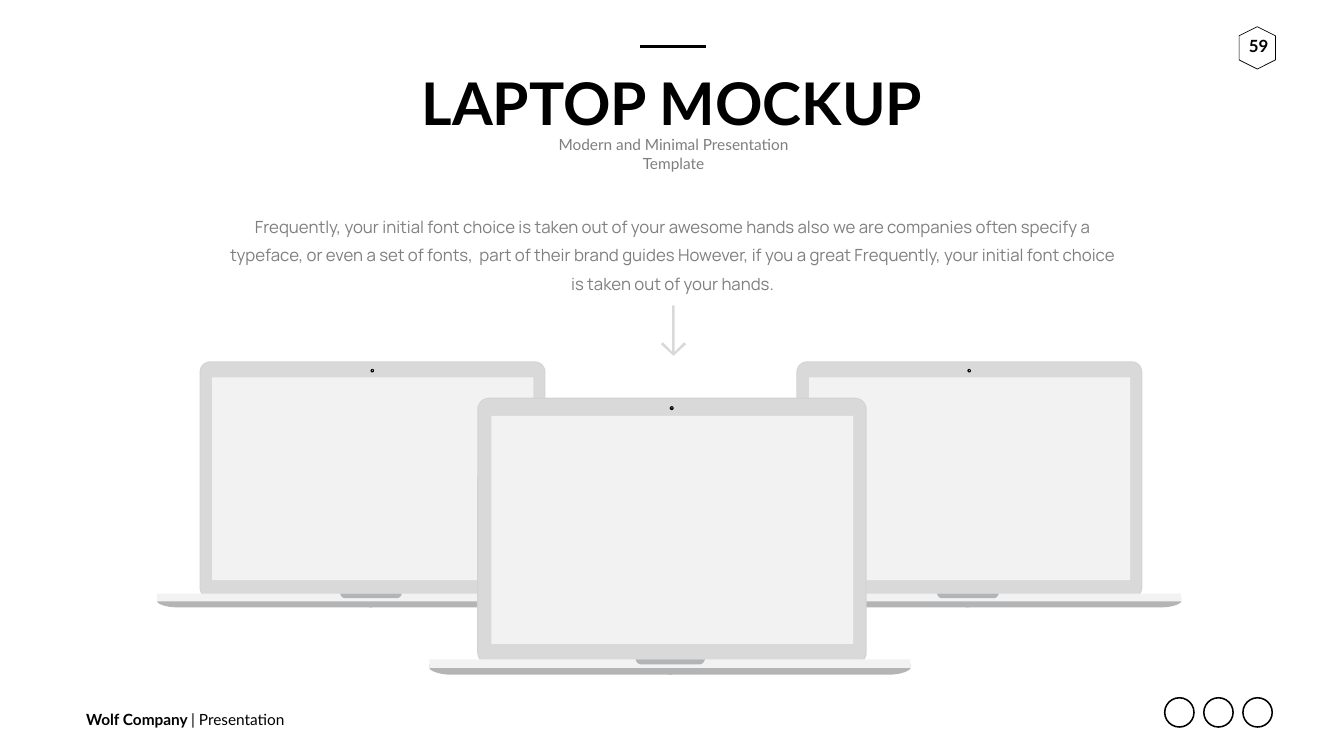
import lxml.etree
import pptx
import pptx.dml.color
import pptx.enum.shapes
import pptx.enum.text
import pptx.oxml.ns
import pptx.util

SHAPE = pptx.enum.shapes.MSO_SHAPE
ALIGN = pptx.enum.text.PP_ALIGN
ANCHOR = pptx.enum.text.MSO_ANCHOR

SLIDE_WIDTH, SLIDE_HEIGHT = pptx.util.Inches(26.66), pptx.util.Inches(15)

COLORS = {
    "black": "000000", "gray": "7F7F7F", "arrow": "D9D9D9",
    "edge": "D2D3D5", "lid": "D9D9D9", "light": "F2F2F2", "shade": "B3B4B5",
    "camera": "0A0A0A", "iris": "2C99B4", "glint": "FFFFFF",
}

# Boxes on the slide are left, top, width, height in percent of its size.
TEXTS = [
    {"box": (6.04, 93.53, 15.64, 3.13), "anchor": ANCHOR.MIDDLE, "align": ALIGN.LEFT,
     "font": {"name": "Lato", "size": 22}, "color": "black",
     "runs": [("Wolf Company ", True), ("| Presentation", False)]},
    {"box": (91.86, 4.33, 3.56, 4.07),
     "font": {"name": "Lato", "size": 24}, "color": "black", "runs": [("59", True)]},
    {"box": (30.68, 8.53, 38.63, 10.07),
     "font": {"name": "Lato", "size": 84}, "color": "black",
     "runs": [("LAPTOP MOCKUP", True)]},
    {"box": (38.93, 18.8, 22.36, 3.13), "anchor": ANCHOR.MIDDLE, "wrap": True,
     "font": {"name": "Lato", "size": 22}, "color": "gray",
     "runs": [("Modern and Minimal Presentation Template", False)]},
    {"box": (16.2, 26.8, 67.67, 12.8), "wrap": True, "margins": (0.24, 0.12),
     "line_spacing": 40.4, "font": {"name": "Manrope", "size": 24}, "color": "gray",
     "runs": [("Frequently, your initial font choice is taken out of your awesome hands "
               "also we are companies often specify a typeface, or even a set of fonts,  "
               "part of their brand guides However, if you a great Frequently, your "
               "initial font choice is taken out of your hands.", False)]},
]
TITLE_RULE = {"left": 47.64, "right": 52.51, "top": 6.13, "weight": 4.5}
PAGE_HEXAGON = (91.97, 3.93, 3.15, 4.8)
SOCIAL_RINGS = {"count": 3, "first": (86.66, 92.3, 2.18, 3.87), "pitch": 2.91}

# The arrow's right half, in percent of its height, from its top centre.
ARROW = {"center": 50.11, "top": 40.4, "height": 6.67}
ARROW_HALF = [(2.5, 0), (2.5, 92), (21, 73), (25, 77), (0, 100)]

LAPTOPS = [  # left, top, width; back to front
    (56.11, 47.8, 31.77),
    (11.7, 47.8, 31.77),
    (31.96, 52.6, 35.78),
]

# Laptop parts are measured in percent of the laptop's width.
UNDERSIDE_CURVE = [(0, 56.32), (0, 56.67), (1.77, 57.62), (4.49, 57.62)]
UNDERSIDE_REST = [(50.4, 57.62), (50.4, 55.37), (0, 55.37)]
NOTCH_CURVE = [(42.86, 54.43), (42.98, 55.02), (43.45, 55.49), (44.04, 55.49)]
NOTCH_CENTER = 50.06
LID_PARTS = [  # box, corner radius, color
    ((9.92, 0, 80.99, 55.49), 2.48, "edge"),
    ((10.15, 0.24, 80.52, 54.9), 2.24, "lid"),
]
BASE_BOX = (0, 54.43, 100, 1.77)
FRONT_PARTS = [
    (SHAPE.RECTANGLE, (12.87, 3.78, 75.21, 47.46), "light"),
    (SHAPE.OVAL, (49.94, 1.77, 0.83, 0.83), "camera"),
    (SHAPE.OVAL, (50.18, 1.89, 0.47, 0.59), "black"),
    (SHAPE.OVAL, (50.3, 2.01, 0.24, 0.24), "iris"),
    (SHAPE.OVAL, (50.36, 2.07, 0.1, 0.1), "glint"),
]


def rgb(name):
    return pptx.dml.color.RGBColor.from_string(COLORS[name])


def across(percent):
    return round(SLIDE_WIDTH * percent / 100)


def down(percent):
    return round(SLIDE_HEIGHT * percent / 100)


def slide_box(box):
    left, top, width, height = box
    return across(left), down(top), across(width), down(height)


def mirror(points, center):
    return [(2 * center - x, y) for x, y in reversed(points)]


def curve(controls, steps=10):
    """Points along a cubic Bezier curve."""
    points = []
    for step in range(steps + 1):
        t = step / steps
        weights = ((1 - t) ** 3, 3 * t * (1 - t) ** 2, 3 * t * t * (1 - t), t ** 3)
        points.append(tuple(sum(weight * control[axis] for weight, control
                                in zip(weights, controls)) for axis in (0, 1)))
    return points


def paint(shape, fill=None, line=None, weight=1):
    shape.shadow.inherit = False
    if fill:
        shape.fill.solid()
        shape.fill.fore_color.rgb = rgb(fill)
    else:
        shape.fill.background()
    if line:
        shape.line.color.rgb = rgb(line)
        shape.line.width = pptx.util.Pt(weight)
    else:
        shape.line.fill.background()
    return shape


def add_outline(shapes, points, origin, unit, fill):
    """Closed polygon whose points are multiples of unit from origin."""
    places = [(round(origin[0] + x * unit), round(origin[1] + y * unit)) for x, y in points]
    builder = shapes.build_freeform(*places[0])
    builder.add_line_segments(places[1:], close=True)
    return paint(builder.convert_to_shape(), fill)


def add_text(slide, text):
    frame = slide.shapes.add_textbox(*slide_box(text["box"])).text_frame
    side, end = text.get("margins", (0.1, 0.05))
    frame_format = {
        "word_wrap": text.get("wrap", False),
        "vertical_anchor": text.get("anchor", ANCHOR.TOP),
        "margin_left": pptx.util.Inches(side), "margin_right": pptx.util.Inches(side),
        "margin_top": pptx.util.Inches(end), "margin_bottom": pptx.util.Inches(end),
    }
    for name, value in frame_format.items():
        setattr(frame, name, value)
    paragraph = frame.paragraphs[0]
    paragraph.alignment = text.get("align", ALIGN.CENTER)
    if "line_spacing" in text:
        paragraph.line_spacing = pptx.util.Pt(text["line_spacing"])
    for words, bold in text["runs"]:
        run = paragraph.add_run()
        run.text = words
        font_format = {**text["font"], "size": pptx.util.Pt(text["font"]["size"]), "bold": bold}
        for name, value in font_format.items():
            setattr(run.font, name, value)
        run.font.color.rgb = rgb(text["color"])


def add_title_rule(slide):
    top = down(TITLE_RULE["top"])
    rule = slide.shapes.add_connector(
        pptx.enum.shapes.MSO_CONNECTOR.STRAIGHT,
        across(TITLE_RULE["left"]), top, across(TITLE_RULE["right"]), top)
    rule.line.color.rgb = rgb("black")
    rule.line.width = pptx.util.Pt(TITLE_RULE["weight"])
    lxml.etree.SubElement(rule._element.spPr, pptx.oxml.ns.qn("a:effectLst"))


def add_laptop(slide, left, top, width):
    shapes = slide.shapes.add_group_shape().shapes
    origin = across(left), down(top)
    unit = across(width) / 100

    def add_part(kind, box, fill):
        x, y, part_width, part_height = (round(value * unit) for value in box)
        return paint(shapes.add_shape(kind, origin[0] + x, origin[1] + y,
                                      part_width, part_height), fill)

    underside = curve(UNDERSIDE_CURVE) + UNDERSIDE_REST
    for half in (underside, mirror(underside, 50)):
        add_outline(shapes, half, origin, unit, "shade")
    for box, radius, fill in LID_PARTS:
        lid = add_part(SHAPE.ROUNDED_RECTANGLE, box, fill)
        lid.adjustments[0] = radius / box[3]
    add_part(SHAPE.RECTANGLE, BASE_BOX, "light")
    notch = curve(NOTCH_CURVE)
    add_outline(shapes, notch + mirror(notch, NOTCH_CENTER), origin, unit, "shade")
    for kind, box, fill in FRONT_PARTS:
        add_part(kind, box, fill)


def main():
    presentation = pptx.Presentation()
    presentation.slide_width, presentation.slide_height = SLIDE_WIDTH, SLIDE_HEIGHT
    slide = presentation.slides.add_slide(presentation.slide_layouts[6])

    hexagon = slide.shapes.add_shape(SHAPE.HEXAGON, *slide_box(PAGE_HEXAGON))
    hexagon.rotation = 90
    paint(hexagon, line="black")
    left, *rest = SOCIAL_RINGS["first"]
    for index in range(SOCIAL_RINGS["count"]):
        box = slide_box((left + index * SOCIAL_RINGS["pitch"], *rest))
        paint(slide.shapes.add_shape(SHAPE.OVAL, *box), line="black", weight=2.2)

    for text in TEXTS:
        add_text(slide, text)
    add_title_rule(slide)
    add_outline(slide.shapes, ARROW_HALF + mirror(ARROW_HALF[:-1], 0),
                (across(ARROW["center"]), down(ARROW["top"])),
                down(ARROW["height"]) / 100, "arrow")
    for laptop in LAPTOPS:
        add_laptop(slide, *laptop)
    presentation.save("out.pptx")


if __name__ == "__main__":
    main()
